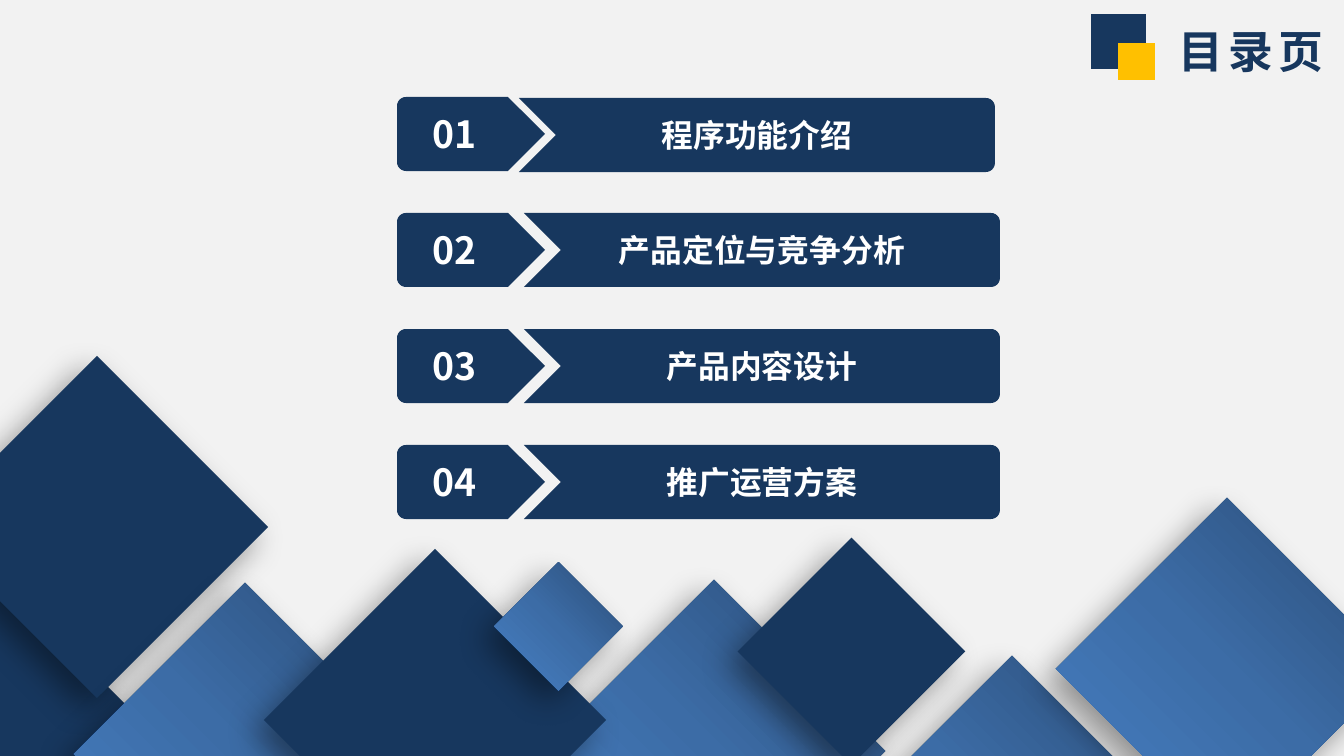
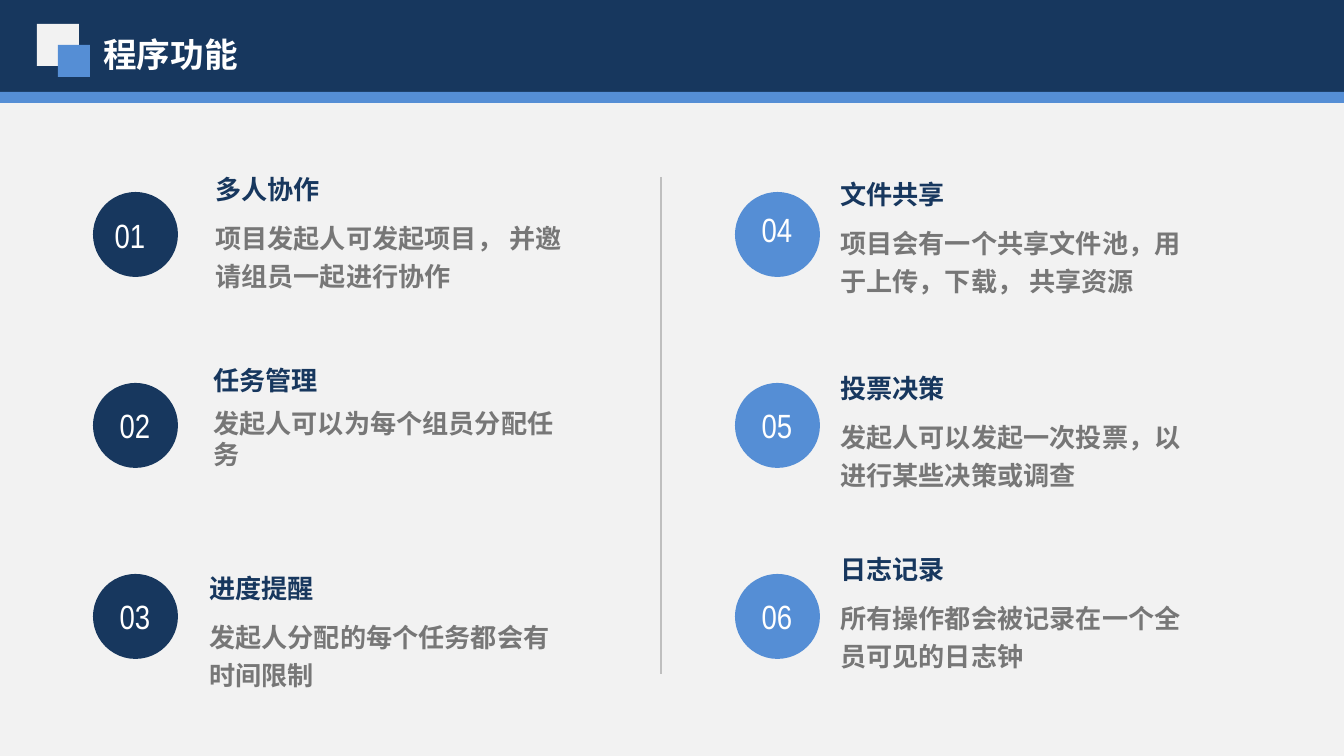
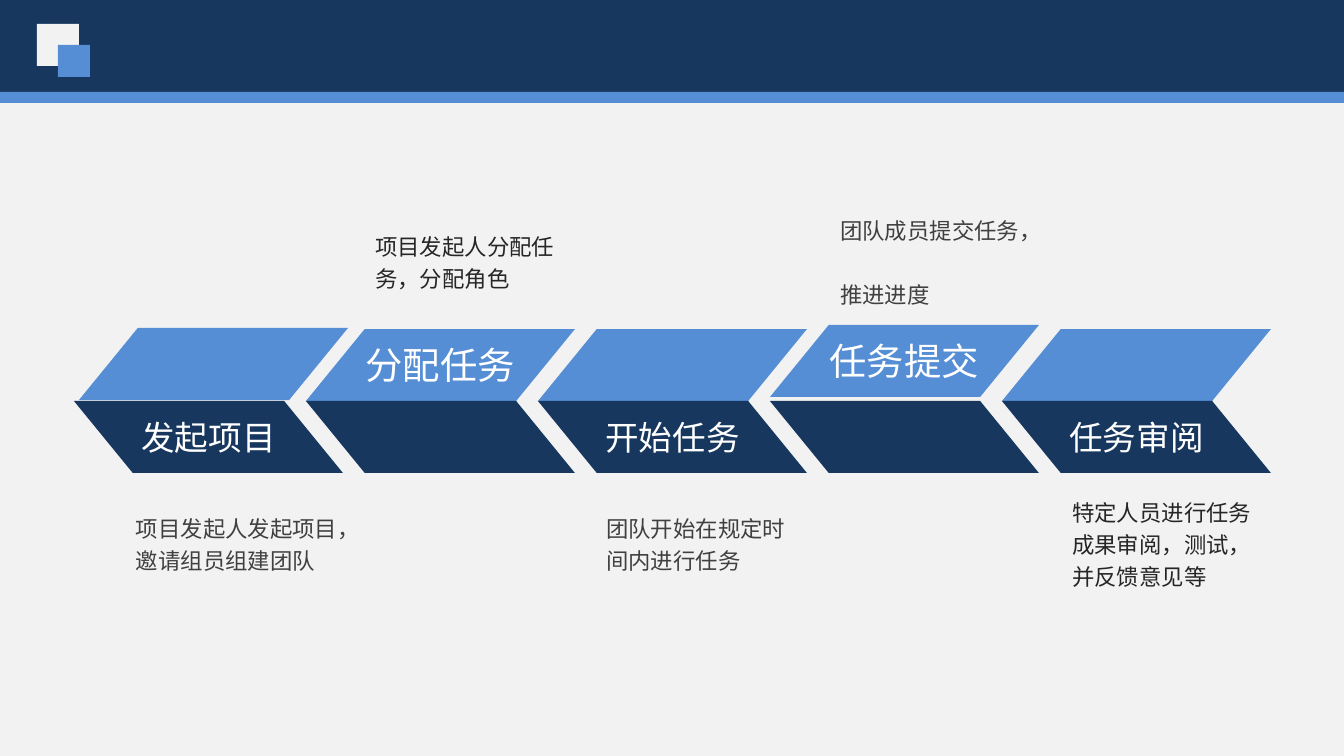
import math
from dataclasses import dataclass

from lxml import etree
from pptx import Presentation
from pptx import util as u
from pptx.dml.color import RGBColor
from pptx.enum import shapes, text
from pptx.oxml import parse_xml
from pptx.oxml.ns import nsdecls, qn

SHAPE = shapes.MSO_SHAPE
ALIGN = text.PP_ALIGN
MIDDLE = text.MSO_ANCHOR.MIDDLE
EMU_PER_PX = 914400 / 134.4
SLIDE_W, SLIDE_H = 1344, 756


@dataclass(frozen=True)
class Theme:
    navy: str = "17375E"
    blue: str = "558ED5"
    gold: str = "FFC000"
    paper: str = "F2F2F2"
    white: str = "FFFFFF"
    rule: str = "BFBFBF"
    muted: str = "777777"
    dark: str = "404040"
    darker: str = "262626"
    gradient: tuple = ((0, "2A4C75"), (50, "3C6CA6"), (100, "4780C5"))
    font: str = "Noto Sans CJK SC"
    number_font: str = "Arial Narrow"
    cover_title: int = 24
    large: int = 20
    title: int = 18
    entry: int = 17
    body: int = 14
    caption: int = 12


T = Theme()


def px(length):
    return u.Emu(round(length * EMU_PER_PX))


def rgb(value):
    return RGBColor.from_string(value)


def paint(shape, color):
    shape.fill.solid()
    shape.fill.fore_color.rgb = rgb(color)
    shape.line.fill.background()
    shape.shadow.inherit = False
    return shape


def add_block(parent, kind, box, color):
    return paint(parent.add_shape(kind, *map(px, box)), color)


def add_run(paragraph, words, size, color, bold=False, font=T.font, tracking=0):
    run = paragraph.add_run()
    run.text = words
    run.font.size = u.Pt(size)
    run.font.bold = bold
    run.font.color.rgb = rgb(color)
    run.font.name = font
    properties = run._r.get_or_add_rPr()
    etree.SubElement(properties, qn("a:ea")).set("typeface", font)
    if tracking:
        properties.set("spc", str(tracking * 100))


def set_insets(frame, left, top, right, bottom):
    frame.margin_left, frame.margin_top = px(left), px(top)
    frame.margin_right, frame.margin_bottom = px(right), px(bottom)


def label(shape, words, size, insets=(0, 0, 0, 0), bold=False):
    frame = shape.text_frame
    frame.word_wrap = True
    frame.vertical_anchor = MIDDLE
    set_insets(frame, *insets)
    frame.paragraphs[0].alignment = ALIGN.CENTER
    add_run(frame.paragraphs[0], words, size, T.white, bold)


def add_text_frame(parent, box, wrap=True):
    frame = parent.add_textbox(*map(px, box)).text_frame
    frame.word_wrap = wrap
    return frame


def add_title(slide, box, words, size, color, tracking=0):
    frame = add_text_frame(slide.shapes, box)
    add_run(frame.paragraphs[0], words, size, color, True, tracking=tracking)


def add_squares(slide, large, small, colors):
    for (left, top, side), color in zip((large, small), colors):
        add_block(slide.shapes, SHAPE.RECTANGLE, (left, top, side, side), color)


def new_slide(prs):
    slide = prs.slides.add_slide(prs.slide_layouts[6])
    slide.background.fill.solid()
    slide.background.fill.fore_color.rgb = rgb(T.paper)
    return slide


def add_header(slide, title=None):
    add_block(slide.shapes, SHAPE.RECTANGLE, (0, 0, SLIDE_W, 102), T.navy)
    add_block(slide.shapes, SHAPE.RECTANGLE, (0, 92, SLIDE_W, 11), T.blue)
    if title:
        add_title(slide, (90, 27, 339, 54), title, T.title, T.white)
    add_squares(slide, (37, 24, 42), (58, 45, 32), (T.paper, T.blue))


def corner(cx, cy, radius, start):
    angles = [math.radians(start + step * 15) for step in range(7)]
    return [(cx + radius * math.cos(a), cy + radius * math.sin(a)) for a in angles]


def add_outline(slide, points):
    points = [(px(x), px(y)) for x, y in points]
    builder = slide.shapes.build_freeform(*points[0])
    builder.add_line_segments(points[1:], close=True)
    return paint(builder.convert_to_shape(), T.navy)


def add_contents_entry(slide, number, words, top, bar_left, bar_top):
    height, radius, tip = 74, 9, 37
    bar_right, bar_bottom = bar_left + 476, bar_top + height
    bar = add_outline(slide, [
        (bar_left, bar_top),
        *corner(bar_right - radius, bar_top + radius, radius, -90),
        *corner(bar_right - radius, bar_bottom - radius, radius, 0),
        (bar_left, bar_bottom),
        (bar_left + tip, bar_top + height / 2)])
    label(bar, words, T.entry, (15, 7, 15, 7), True)

    left, shoulder, bottom = 397, 508, top + height
    badge = add_outline(slide, [
        *corner(left + radius, top + radius, radius, 180),
        (shoulder, top),
        (shoulder + tip, top + height / 2),
        (shoulder, bottom),
        *corner(left + radius, bottom - radius, radius, 90)])
    label(badge, number, T.large, (15, 7, 47, 7), True)


def add_diamond(slide, left, top, side, shaded):
    diamond = add_block(slide.shapes, SHAPE.RECTANGLE, (left, top, side, side), T.navy)
    diamond.rotation = 45
    properties = diamond._element.spPr
    if shaded:
        stops = "".join(
            f'<a:gs pos="{pos * 1000}"><a:srgbClr val="{color}"/></a:gs>'
            for pos, color in T.gradient)
        properties.replace(properties.find(qn("a:solidFill")), parse_xml(
            f'<a:gradFill rotWithShape="1" {nsdecls("a")}><a:gsLst>{stops}</a:gsLst>'
            '<a:lin ang="5400000" scaled="0"/></a:gradFill>'))
    properties.find(qn("a:effectLst")).append(parse_xml(
        f'<a:outerShdw blurRad="{u.Pt(17)}" dist="{u.Pt(9)}" dir="8100000" '
        f'algn="tr" rotWithShape="0" {nsdecls("a")}><a:srgbClr val="000000">'
        '<a:alpha val="40000"/></a:srgbClr></a:outerShdw>'))


def add_number(slide, number, left, top, color, shift):
    group = slide.shapes.add_group_shape().shapes
    add_block(group, SHAPE.OVAL, (left, top, 85, 85), color)
    box = (left + 11 + shift[0], top + 15 + shift[1], 62, 54)
    paragraph = add_text_frame(group, box, wrap=False).paragraphs[0]
    paragraph.alignment = ALIGN.CENTER
    add_run(paragraph, number, T.title, T.white, font=T.number_font)


def add_feature(slide, box, name, detail, spacing):
    frame = add_text_frame(slide.shapes, box)
    heading = frame.paragraphs[0]
    heading.space_after = u.Pt(6)
    add_run(heading, name, T.body, T.navy, True)
    body = frame.add_paragraph()
    body.line_spacing = spacing
    add_run(body, detail, T.body, T.muted, True)


def add_divider(slide, x, top, bottom):
    divider = slide.shapes.add_connector(
        shapes.MSO_CONNECTOR.STRAIGHT, px(x), px(top), px(x), px(bottom))
    divider.line.color.rgb = rgb(T.rule)
    divider.line.width = u.Pt(0.75)
    etree.SubElement(divider._element.spPr, qn("a:effectLst"))


def add_stage(slide, left, upper_at, upper_words, lower_words):
    group = slide.shapes.add_group_shape().shapes
    upper = add_block(group, SHAPE.PARALLELOGRAM, (*upper_at, 269, 72), T.blue)
    lower = add_block(group, SHAPE.PARALLELOGRAM, (left, 401, 269, 72), T.navy)
    lower._element.spPr.find(qn("a:xfrm")).set("flipH", "1")
    for half, words, size in ((upper, upper_words, T.large), (lower, lower_words, T.title)):
        half.adjustments[0] = 0.817
        if words:
            label(half, words, size)


def add_caption(slide, left, top, width, lines, color, inset=True):
    frame = add_text_frame(slide.shapes, (left, top, width, 138))
    frame.vertical_anchor = MIDDLE
    if not inset:
        set_insets(frame, 0, 0, 0, 0)
    for index, line in enumerate(lines):
        paragraph = frame.add_paragraph() if index else frame.paragraphs[0]
        paragraph.line_spacing = 1.2
        add_run(paragraph, line, T.caption, color)


def contents_slide(prs):
    slide = new_slide(prs)
    chapters = ["程序功能介绍", "产品定位与竞争分析", "产品内容设计", "推广运营方案"]
    for index, chapter in enumerate(chapters):
        top = 97 + 116 * index
        bar_at = (524, top) if index else (519, top + 1)
        add_contents_entry(slide, f"{index + 1:02}", chapter, top, *bar_at)
    add_squares(slide, (1091, 14, 55), (1118, 43, 37), (T.navy, T.gold))
    add_title(slide, (1165, 17, 233, 67), "目录页", T.cover_title, T.navy, tracking=3)
    for diamond in [
        (-144, 606, 242, False),
        (-24, 406, 242, False),
        (124, 633, 242, True),
        (593, 630, 242, True),
        (314, 599, 242, False),
        (771, 571, 161, False),
        (891, 706, 242, True),
        (1106, 548, 242, True),
        (513, 581, 91, True),
    ]:
        add_diamond(slide, *diamond)


def features_slide(prs):
    slide = new_slide(prs)
    add_header(slide, "程序功能")
    add_divider(slide, 661, 177, 674)
    features = [
        ((202, 167, 375, 125), "多人协作", "项目发起人可发起项目， 并邀请组员一起进行协作", 1.2),
        ((200, 358, 380, 129), "任务管理", "发起人可以为每个组员分配任务", 1.0),
        ((196, 566, 380, 129), "进度提醒", "发起人分配的每个任务都会有时间限制", 1.2),
        ((827, 172, 386, 148), "文件共享", "项目会有一个共享文件池，用于上传，下载， 共享资源", 1.2),
        ((827, 366, 386, 148), "投票决策", "发起人可以发起一次投票，以进行某些决策或调查", 1.2),
        ((827, 547, 386, 148), "日志记录", "所有操作都会被记录在一个全员可见的日志钟", 1.2),
    ]
    number_shifts = {0: (-5, 1), 3: (0, -5)}
    for index, feature in enumerate(features):
        add_feature(slide, *feature)
        column, row = divmod(index, 3)
        add_number(slide, f"{index + 1:02}", 93 + 642 * column, 192 + 191 * row,
                   (T.navy, T.blue)[column], number_shifts.get(index, (0, 0)))


def process_slide(prs):
    slide = new_slide(prs)
    add_header(slide)
    stages = ["发起项目", "分配任务", "开始任务", "任务提交", "任务审阅"]
    upper_shifts = {0: (5, -1), 3: (0, -4)}
    for index, stage in enumerate(stages):
        left = 74 + 232 * index
        dx, dy = upper_shifts.get(index, (0, 0))
        words = ("", stage) if index % 2 == 0 else (stage, "")
        add_stage(slide, left, (left + dx, 329 + dy), *words)
    above, below = 191, 473
    add_caption(slide, 136, below, 202, ["项目发起人发起项目，邀请组员组建团队"], T.dark, inset=False)
    add_caption(slide, 593, below, 211, ["团队开始在规定时间内进行任务"], T.dark)
    add_caption(slide, 1059, below, 211, ["特定人员进行任务成果审阅，测试， 并反馈意见等"], T.darker)
    add_caption(slide, 362, above, 211, ["项目发起人分配任务，分配角色"], T.darker)
    add_caption(slide, 827, above, 211, ["团队成员提交任务， ", "推进进度"], T.dark)


def main():
    prs = Presentation()
    prs.slide_width, prs.slide_height = px(SLIDE_W), px(SLIDE_H)
    contents_slide(prs)
    features_slide(prs)
    process_slide(prs)
    prs.save("out.pptx")


main()
